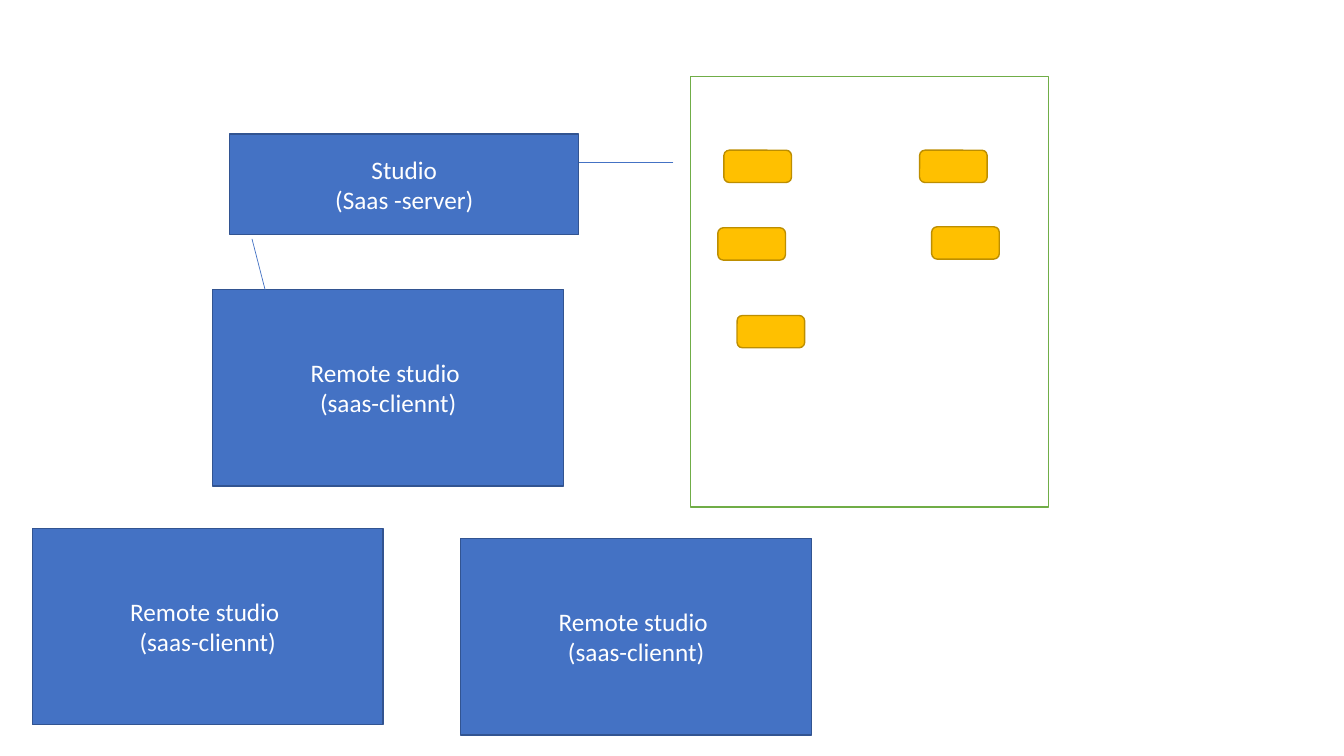
from lxml import etree
from pptx import Presentation, util as u
from pptx.dml.color import RGBColor
from pptx.enum import shapes, text
from pptx.oxml.ns import qn

WIDTH, HEIGHT = u.Inches(13.33), u.Inches(7.5)
BLUE, NAVY, WHITE = "4472C4", "325491", "FFFFFF"
GREEN, AMBER, BROWN = "70AD47", "FFC000", "BD8E00"
REMOTE_SIZE, CHIP_SIZE = (26.11, 26), (5.03, 4.27)
REMOTES = [(15.83, 38.27), (2.4, 69.87), (34.28, 71.2)]
CHIPS = [(53.86, 19.87), (54.84, 41.73), (53.41, 30.13), (69.32, 30), (68.42, 19.87)]


def color(hex_code):
    """Turn a hex string into a colour."""
    return RGBColor.from_string(hex_code)


def place(x, y):
    """Turn percentages of the slide's width and height into lengths."""
    return round(WIDTH * x / 100), round(HEIGHT * y / 100)


def write(sp, words, size=18, font="Calibri", ink=WHITE):
    """Write centred text in a shape, with line breaks at newlines."""
    tf = sp.text_frame
    tf.word_wrap = True
    tf.vertical_anchor = text.MSO_ANCHOR.MIDDLE
    p = tf.paragraphs[0]
    p.alignment = text.PP_ALIGN.CENTER
    p.text = words.replace("\n", "\v")
    for r in p.runs:
        r.font.size = u.Pt(size)
        r.font.name = font
        r.font.color.rgb = color(ink)


def box(s, corner, size, fill, line, kind=shapes.MSO_SHAPE.RECTANGLE):
    """Add a filled and outlined shape."""
    sp = s.shapes.add_shape(kind, *place(*corner), *place(*size))
    sp.shadow.inherit = False
    sp.fill.solid()
    sp.fill.fore_color.rgb = color(fill)
    sp.line.color.rgb = color(line)
    sp.line.width = u.Pt(1)
    return sp


def studio(s, corner, size, words):
    """Add a blue labelled studio box."""
    write(box(s, corner, size, BLUE, NAVY), words)


def link(s, start, end):
    """Add a thin straight line between two points."""
    c = s.shapes.add_connector(shapes.MSO_CONNECTOR.STRAIGHT, *place(*start), *place(*end))
    c.line.color.rgb = color(BLUE)
    c.line.width = u.Pt(0.5)
    etree.SubElement(c._element.spPr, qn("a:effectLst"))


def main():
    """Build the slide of the studio server and its remote clients."""
    prs = Presentation()
    prs.slide_width, prs.slide_height = WIDTH, HEIGHT
    s = prs.slides.add_slide(prs.slide_layouts[6])
    studio(s, (17.1, 17.73), (25.96, 13.33), "Studio\n(Saas -server)")
    for corner in REMOTES:
        studio(s, corner, REMOTE_SIZE, "Remote studio \n(saas-cliennt)")
    box(s, (51.39, 10.13), (26.63, 56.93), WHITE, GREEN)
    for corner in CHIPS:
        box(s, corner, CHIP_SIZE, AMBER, BROWN, shapes.MSO_SHAPE.ROUNDED_RECTANGLE)
    link(s, (50.11, 21.47), (43.06, 21.47))
    link(s, (21.38, 49.73), (18.75, 31.6))
    prs.save("out.pptx")


if __name__ == "__main__":
    main()
